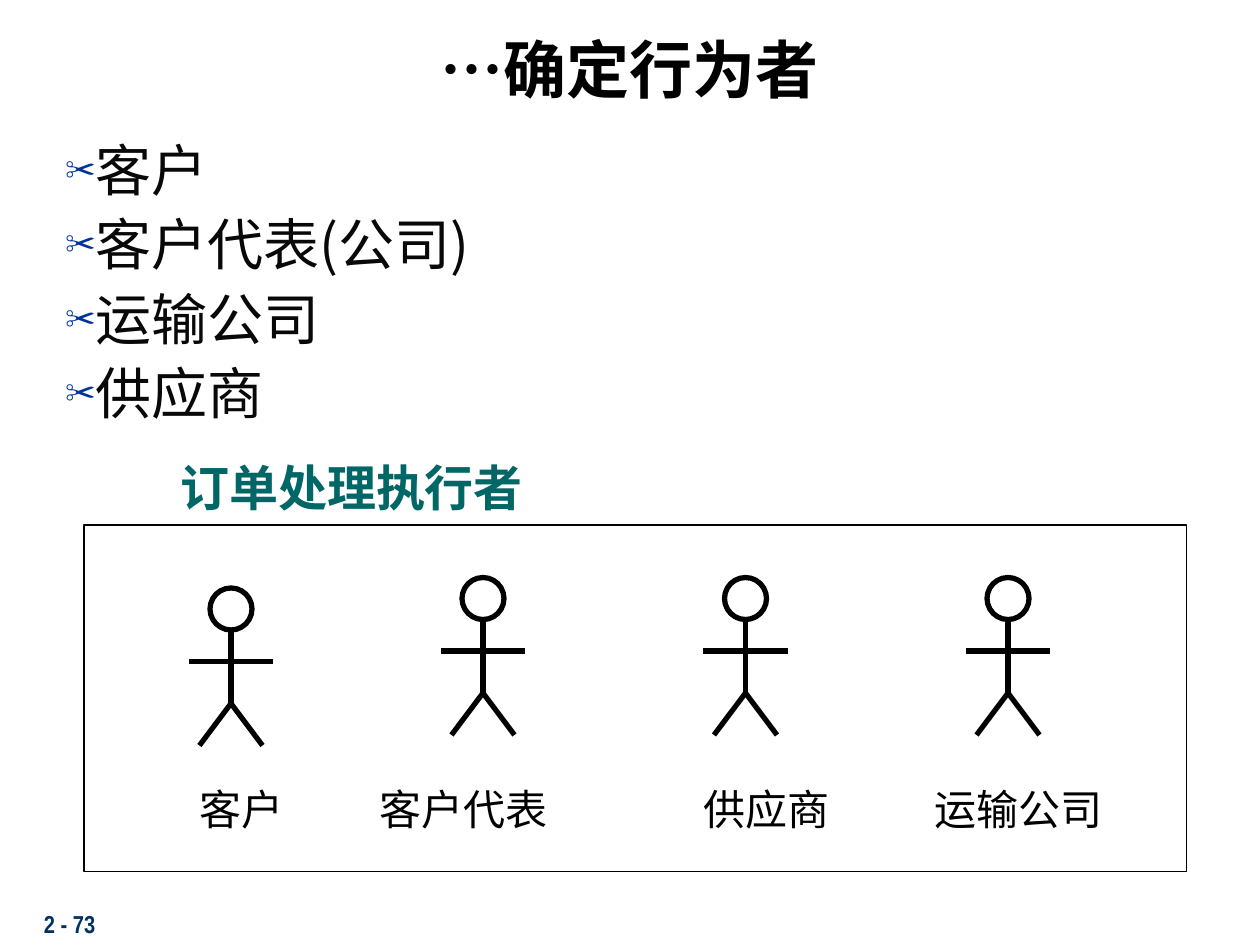
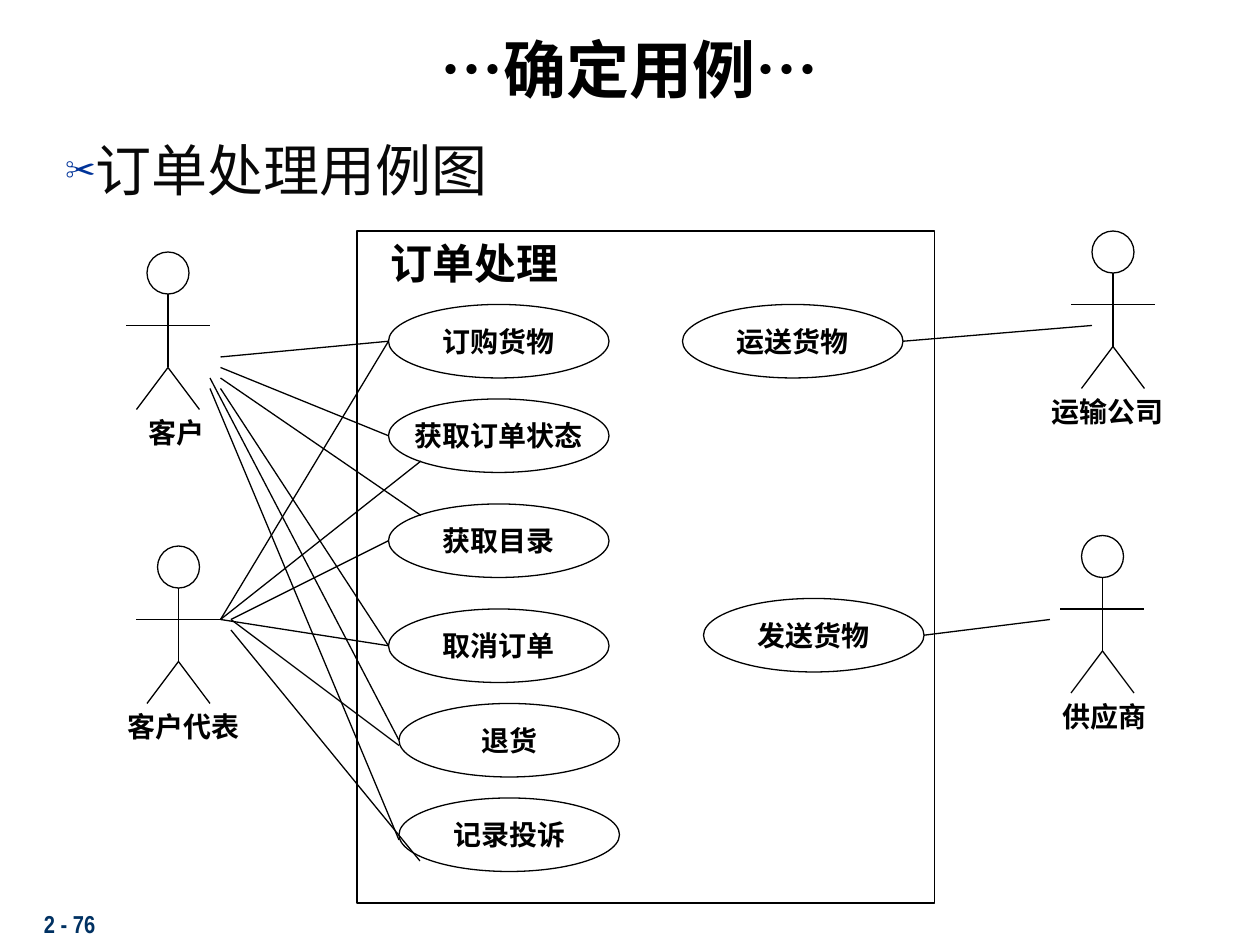
"""Build two slides on order processing: its actors and its use case diagram."""
from lxml import etree
from pptx import Presentation
from pptx.dml.color import RGBColor
from pptx.enum.shapes import MSO_CONNECTOR, MSO_SHAPE
from pptx.enum.text import MSO_ANCHOR, MSO_AUTO_SIZE, PP_ALIGN
from pptx.oxml.ns import qn
from pptx.util import Pt

STRAIGHT = MSO_CONNECTOR.STRAIGHT
RECTANGLE, OVAL = MSO_SHAPE.RECTANGLE, MSO_SHAPE.OVAL
TOP, MIDDLE = MSO_ANCHOR.TOP, MSO_ANCHOR.MIDDLE
LEFT, CENTER = PP_ALIGN.LEFT, PP_ALIGN.CENTER
NO_AUTOFIT = MSO_AUTO_SIZE.NONE

SERIF, SANS, NARROW = "Times New Roman", "Noto Sans CJK SC", "Arial Narrow"
THEME = {
    "ink": "000000",
    "bullet": "003399",
    "thin": Pt(0.75),
    "thick": Pt(3),
    "title": ("000000", {"name": SANS, "size": Pt(36), "bold": True}),
    "ellipsis": ("000000", {"name": SERIF, "size": Pt(36), "bold": True}),
    "body": ("080808", {"name": SANS, "size": Pt(32), "bold": False}),
    "caption": ("006666", {"name": SERIF, "size": Pt(28), "bold": True}),
    "heading": ("000000", {"name": SERIF, "size": Pt(24), "bold": True}),
    "actor": ("000000", {"name": SERIF, "size": Pt(24), "bold": False}),
    "case": ("000000", {"name": SERIF, "size": Pt(16), "bold": True}),
    "footer": ("003162", {"name": NARROW, "size": Pt(14), "bold": True}),
}


def add_run(paragraph, text, style):
    """Append a run in one of the theme's text styles."""
    run = paragraph.add_run()
    run.text = text
    color, values = THEME[style]
    for name, value in values.items():
        setattr(run.font, name, value)
    run.font.color.rgb = RGBColor.from_string(color)


def add_line(shapes, points, weight):
    """Draw a straight line through x1, y1, x2, y2 in points."""
    line = shapes.add_connector(STRAIGHT, *map(Pt, points))
    line.line.color.rgb = RGBColor.from_string(THEME["ink"])
    line.line.width = weight
    etree.SubElement(line._element.spPr, qn("a:effectLst"))


presentation = Presentation()
presentation.slide_width, presentation.slide_height = Pt(720), Pt(540)

pages = [
    ([("…", "ellipsis"), ("确定行为者", "title")],
     ["客户", "客户代表(公司)", "运输公司", "供应商"], (654, 176)),
    ([("…", "ellipsis"), ("确定用例", "title"), ("…", "ellipsis")],
     ["订单处理用例图"], (660, 44)),
]
for title_runs, items, (body_width, body_height) in pages:
    slide = presentation.slides.add_slide(presentation.slide_layouts[1])
    title, body = slide.shapes.title, slide.placeholders[1]
    for placeholder, box, anchor in [
        (title, (12, 12, 696, 54), MIDDLE),
        (body, (30, 78, body_width, body_height), TOP),
    ]:
        for side, length in zip(("left", "top", "width", "height"), box):
            setattr(placeholder, side, Pt(length))
        placeholder.text_frame.auto_size = NO_AUTOFIT
        placeholder.text_frame.vertical_anchor = anchor

    heading = title.text_frame.paragraphs[0]
    heading.alignment = CENTER
    for text, style in title_runs:
        add_run(heading, text, style)

    for index, item in enumerate(items):
        frame = body.text_frame
        paragraph = frame.add_paragraph() if index else frame.paragraphs[0]
        properties = paragraph._p.get_or_add_pPr()
        properties.set("marL", str(Pt(17.3)))
        properties.set("indent", str(-Pt(17.3)))
        bullet_color = etree.SubElement(properties, qn("a:buClr"))
        etree.SubElement(bullet_color, qn("a:srgbClr"), val=THEME["bullet"])
        etree.SubElement(properties, qn("a:buSzPct"), val="55000")
        etree.SubElement(properties, qn("a:buChar"), char="✂")
        paragraph.line_spacing = 0.9
        paragraph.space_before = Pt(8 if index else 0)
        add_run(paragraph, item, "body")

actors_slide, cases_slide = presentation.slides

outlines = [
    (actors_slide, RECTANGLE, (48, 300, 630, 198), ""),
    (cases_slide, RECTANGLE, (204, 132, 330, 384), ""),
]
use_cases = [
    ("订购货物", 222, 174),
    ("获取订单状态", 222, 228),
    ("获取目录", 222, 288),
    ("取消订单", 222, 348),
    ("退货", 228, 402),
    ("记录投诉", 228, 456),
    ("运送货物", 390, 174),
    ("发送货物", 402, 342),
]
outlines += [(cases_slide, OVAL, (left, top, 126, 42), name)
             for name, left, top in use_cases]
for slide, kind, box, text in outlines:
    shape = slide.shapes.add_shape(kind, *map(Pt, box))
    shape.shadow.inherit = False
    shape.fill.background()
    shape.line.color.rgb = RGBColor.from_string(THEME["ink"])
    shape.line.width = THEME["thin"]
    if text:
        shape.text_frame.word_wrap = False
        shape.text_frame.vertical_anchor = MIDDLE
        paragraph = shape.text_frame.paragraphs[0]
        paragraph.alignment = CENTER
        add_run(paragraph, text, "case")

labels = [
    (actors_slide, "2 - 73", (18, 516, 150, 24), "footer", LEFT),
    (cases_slide, "2 - 76", (18, 516, 150, 24), "footer", LEFT),
    (actors_slide, "订单处理执行者", (96, 258, 252, 41), "caption", LEFT),
    (cases_slide, "订单处理", (216, 132, 144, 36), "heading", LEFT),
]
actors = [
    (actors_slide, "客户", (120, 336), (90, 444, 96, 36), CENTER),
    (actors_slide, "客户代表", (264, 330), (210, 444, 150, 36), LEFT),
    (actors_slide, "供应商", (414, 330), (372, 444, 132, 36), CENTER),
    (actors_slide, "运输公司", (564, 330), (516, 444, 132, 36), CENTER),
    (cases_slide, "客户", (84, 144), (78, 234, 54, 27), LEFT),
    (cases_slide, "客户代表", (90, 312), (66, 402, 90, 27), LEFT),
    (cases_slide, "运输公司", (624, 132), (594, 222, 90, 27), LEFT),
    (cases_slide, "供应商", (618, 306), (600, 396, 78, 27), LEFT),
]
limbs = [(-12, 42, 36, 42), (12, 24, 12, 66), (12, 66, -6, 90), (12, 66, 30, 90)]
for slide, name, (left, top), label_box, alignment in actors:
    bold_figure = slide is actors_slide or slide.slide_id == actors_slide.slide_id
    weight = THEME["thick" if bold_figure else "thin"]
    figure = slide.shapes.add_group_shape()
    head = figure.shapes.add_shape(OVAL, Pt(left), Pt(top), Pt(24), Pt(24))
    head.shadow.inherit = False
    head.fill.background()
    head.line.color.rgb = RGBColor.from_string(THEME["ink"])
    head.line.width = weight
    for x1, y1, x2, y2 in limbs:
        points = (left + x1, top + y1, left + x2, top + y2)
        add_line(figure.shapes, points, weight)
    style = "actor" if bold_figure else "case"
    labels.append((slide, name, label_box, style, alignment))

for slide, text, box, style, alignment in labels:
    label = slide.shapes.add_textbox(*map(Pt, box))
    label.text_frame.word_wrap = True
    paragraph = label.text_frame.paragraphs[0]
    paragraph.alignment = alignment
    add_run(paragraph, text, style)

links = [
    (126, 204, 222, 195),
    (126, 210, 222, 249),
    (126, 216, 240.5, 294.5),
    (126, 222, 222, 369),
    (120, 216, 228, 423),
    (120, 222, 228, 480),
    (126, 354, 222, 195),
    (126, 354, 240.5, 263.5),
    (132, 354, 222, 309),
    (126, 354, 222, 369),
    (132, 354, 228, 426),
    (132, 360, 240, 492),
    (624, 186, 516, 195),
    (600, 354, 528, 363),
]
for link in links:
    add_line(cases_slide.shapes, link, THEME["thin"])

presentation.save("out.pptx")
